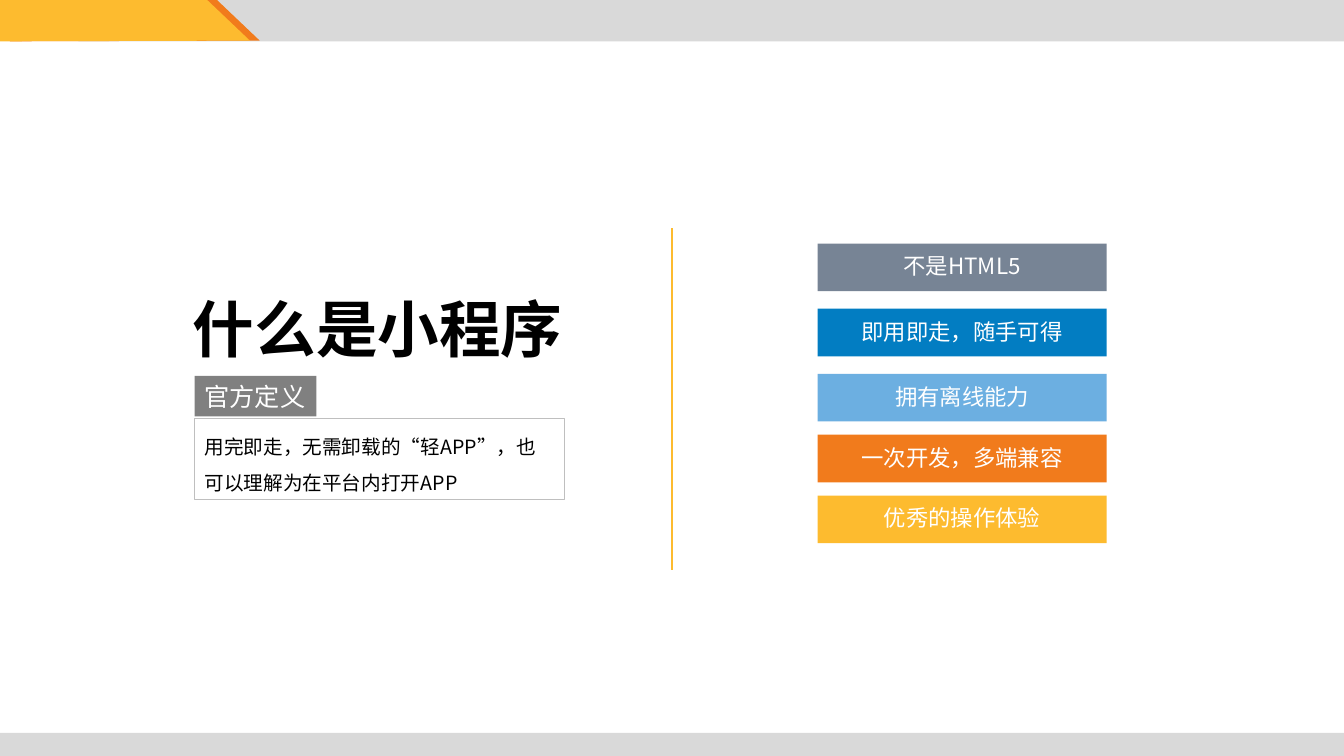
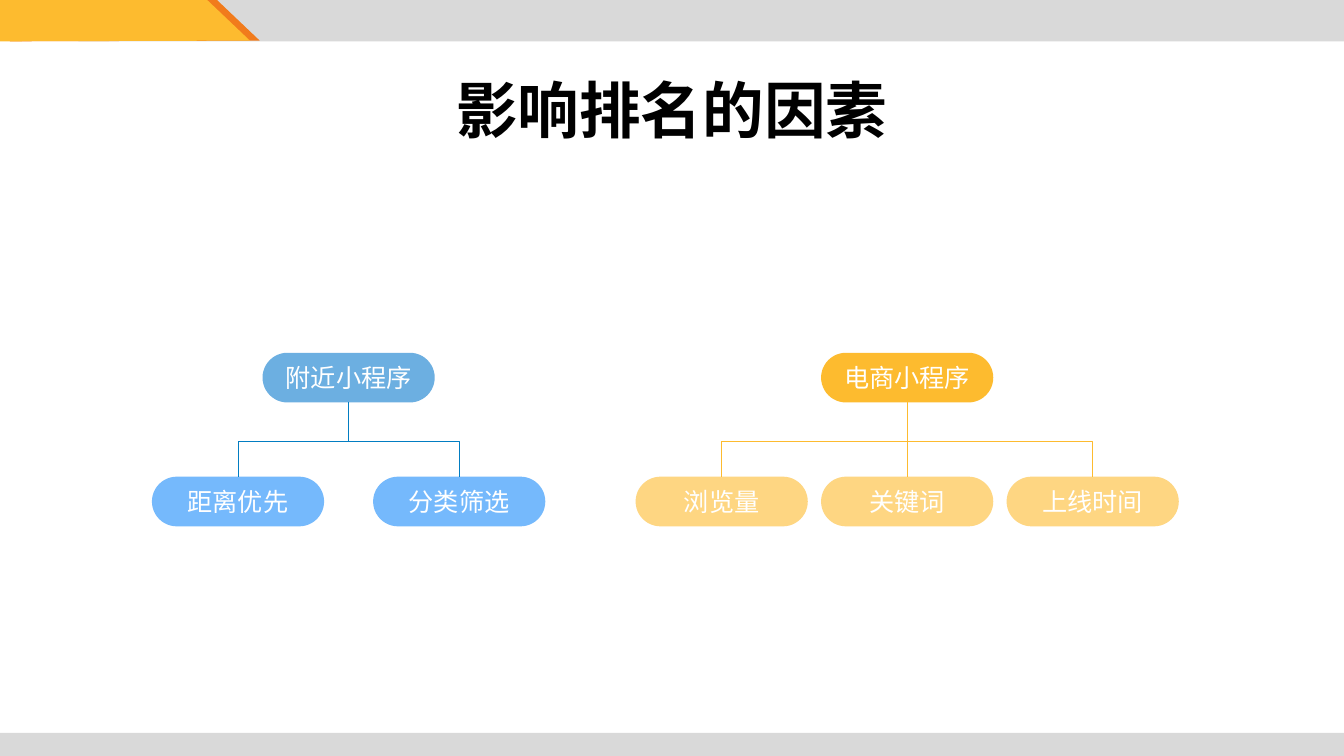
import pptx
import pptx.dml.color
import pptx.enum.shapes
import pptx.enum.text
import pptx.oxml.ns
import pptx.util
from lxml import etree

Pt = pptx.util.Pt
qn = pptx.oxml.ns.qn
SHAPE = pptx.enum.shapes.MSO_SHAPE
CONNECTOR = pptx.enum.shapes.MSO_CONNECTOR
ALIGN = pptx.enum.text.PP_ALIGN
ANCHOR = pptx.enum.text.MSO_ANCHOR

FONT = "Noto Sans CJK SC"
BLACK, WHITE = "000000", "FFFFFF"
BAND_GREY, TAG_GREY, BORDER_GREY, SLATE = "D9D9D9", "808080", "BFBFBF", "778495"
ORANGE, AMBER, PALE_AMBER = "F17B1C", "FDBB2F", "FED682"
BLUE, SKY, PALE_BLUE = "027DC2", "6CAFE1", "75B9FC"


def rgb(color):
    return pptx.dml.color.RGBColor.from_string(color)


def set_values(target, values):
    for name, value in values.items():
        setattr(target, name, value)


class Deck:
    """Holds the shared style and the slide being built."""

    def __init__(self):
        self.prs = pptx.Presentation()
        set_values(self.prs, {"slide_width": Pt(960), "slide_height": Pt(540)})
        self.layout = self.prs.slide_layouts.get_by_name("Title Only")
        self.slide = None

    def new_slide(self, heading, left, top, width):
        first = self.slide is None
        self.slide = self.prs.slides.add_slide(self.layout)
        if first:
            self.bands()
        title = self.slide.shapes.title
        set_values(title, {"left": Pt(left), "top": Pt(top),
                           "width": Pt(width), "height": Pt(60.5)})
        self.label(title, heading, 44, BLACK, bold=True, wrap=False)

    def bands(self):
        """Put the header and footer bands on the shared layout."""
        bands = [
            self.box(56, 0, 904, 29.5, BAND_GREY),
            self.slant(7, ORANGE),
            self.slant(0, AMBER),
            self.box(0, 523.5, 960, 16.5, BAND_GREY),
        ]
        for position, band in enumerate(bands, 2):
            self.layout.shapes.element.insert(position, band.element)

    def slant(self, left, color):
        outline = self.slide.shapes.build_freeform(Pt(left), Pt(29.5))
        corners = [(178.5, 29), (148, 0), (0, 0)]
        outline.add_line_segments([(Pt(left + x), Pt(y)) for x, y in corners])
        return self.paint(outline.convert_to_shape(), color)

    def paint(self, shape, fill=None, border=None):
        shape.shadow.inherit = False
        for part, color in ((shape.fill, fill), (shape.line.fill, border)):
            if color:
                part.solid()
                part.fore_color.rgb = rgb(color)
            else:
                part.background()
        if border:
            shape.line.width = Pt(0.75)
        return shape

    def box(self, left, top, width, height, fill=None, border=None, kind=SHAPE.RECTANGLE):
        shape = self.slide.shapes.add_shape(kind, Pt(left), Pt(top), Pt(width), Pt(height))
        return self.paint(shape, fill, border)

    def label(self, shape, words, size, color, bold=False, wrap=True, align=ALIGN.CENTER,
              anchor=ANCHOR.MIDDLE, spacing=1.0, inset=(7.2, 3.6, 7.2, 3.6)):
        frame = shape.text_frame
        sides = ("margin_left", "margin_top", "margin_right", "margin_bottom")
        set_values(frame, {side: Pt(gap) for side, gap in zip(sides, inset)})
        set_values(frame, {"word_wrap": wrap, "vertical_anchor": anchor,
                           "auto_size": pptx.enum.text.MSO_AUTO_SIZE.NONE})
        paragraph = frame.paragraphs[0]
        set_values(paragraph, {"alignment": align, "line_spacing": spacing})
        run = paragraph.add_run()
        run.text = words
        set_values(run.font, {"name": FONT, "size": Pt(size), "bold": bold})
        run.font.color.rgb = rgb(color)
        latin = run.font._element.find(qn("a:latin"))
        latin.addnext(etree.Element(qn("a:ea"), typeface=FONT))

    def bar(self, words, top, color):
        bar = self.box(584, top, 206.5, 34, color)
        self.label(bar, words, 16, WHITE, inset=(0, 0, 0, 2))

    def pill(self, words, center, top, color):
        pill = self.box(center - 61.5, top, 123, 35.5, color, kind=SHAPE.ROUNDED_RECTANGLE)
        pill.adjustments[0] = 0.5
        self.label(pill, words, 18, WHITE, wrap=False, inset=(0, 0, 0, 0))
        return pill

    def line(self, kind, start, end, color, width):
        line = self.slide.shapes.add_connector(kind, *start, *end)
        line.line.color.rgb = rgb(color)
        line.line.width = Pt(width)
        etree.SubElement(line.element.spPr, qn("a:effectLst"))
        return line

    def branch(self, parent, child, color):
        """Join parent bottom to child top, leaving vertically."""
        x1, y1 = parent.left + parent.width // 2, parent.top + parent.height
        x2, y2 = child.left + child.width // 2, child.top
        straight = x1 == x2
        kind = CONNECTOR.STRAIGHT if straight else CONNECTOR.ELBOW
        link = self.line(kind, (x1, y1), (x2, y2), color, 0.5)
        link.begin_connect(parent, 2)
        link.end_connect(child, 0)
        if straight:
            return
        run, drop = abs(x2 - x1), y2 - y1
        properties = link.element.spPr
        frame = properties.find(qn("a:xfrm"))
        frame.attrib.clear()
        turn = {"rot": "5400000"} if x2 < x1 else {"rot": "16200000", "flipH": "1"}
        for name, value in turn.items():
            frame.set(name, value)
        set_values(link, {"left": (x1 + x2 - drop) // 2, "top": (y1 + y2 - run) // 2,
                          "width": drop, "height": run})
        guides = properties.find(qn("a:prstGeom")).find(qn("a:avLst"))
        etree.SubElement(guides, qn("a:gd"), name="adj1", fmla="val 53000")

    def tree(self, root, leaves, center, pitch, colors):
        root_color, leaf_color, line_color = colors
        parent = self.pill(root, center, 252, root_color)
        for index, leaf in enumerate(leaves):
            offset = (index - (len(leaves) - 1) / 2) * pitch
            child = self.pill(leaf, center + offset, 340.5, leaf_color)
            self.branch(parent, child, line_color)


def definition_slide(deck):
    deck.new_slide("什么是小程序", 129.5, 204, 281)
    definition = deck.box(139, 299, 264, 58, border=BORDER_GREY)
    deck.label(definition, "用完即走，无需卸载的“轻APP”，也可以理解为在平台内打开APP", 14, BLACK,
               align=ALIGN.LEFT, anchor=ANCHOR.TOP, spacing=1.5)
    tag = deck.box(139, 268.5, 87, 29, TAG_GREY)
    deck.label(tag, "官方定义", 18, WHITE, wrap=False, align=ALIGN.LEFT)
    features = [
        ("不是HTML5", 174, SLATE),
        ("即用即走，随手可得", 220.5, BLUE),
        ("拥有离线能力", 267, SKY),
        ("一次开发，多端兼容", 310.5, ORANGE),
        ("优秀的操作体验", 354, AMBER),
    ]
    for feature in features:
        deck.bar(*feature)
    deck.line(CONNECTOR.STRAIGHT, (Pt(480), Pt(163)), (Pt(480), Pt(407.5)), AMBER, 1)


def ranking_slide(deck):
    deck.new_slide("影响排名的因素", 317.5, 47.5, 325)
    deck.tree("附近小程序", ["距离优先", "分类筛选"], 249, 158, (SKY, PALE_BLUE, BLUE))
    deck.tree("电商小程序", ["浏览量", "关键词", "上线时间"], 648, 132.5,
              (AMBER, PALE_AMBER, AMBER))


def main():
    deck = Deck()
    definition_slide(deck)
    ranking_slide(deck)
    deck.prs.save("out.pptx")


if __name__ == "__main__":
    main()
